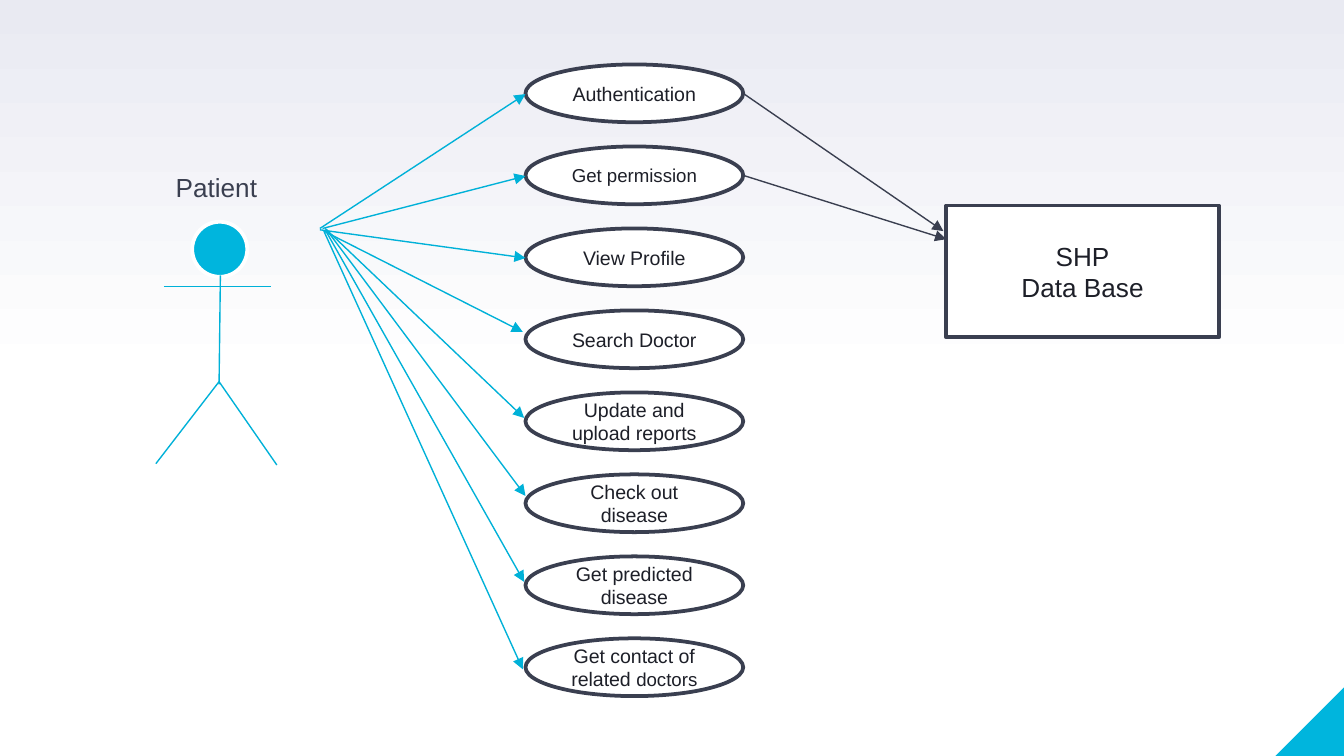
from lxml import etree
from pptx import Presentation
from pptx.dml.color import RGBColor
from pptx.enum.shapes import MSO_CONNECTOR, MSO_SHAPE
from pptx.enum.text import MSO_ANCHOR, PP_ALIGN
from pptx.oxml.ns import qn
from pptx.util import Inches, Pt

STRAIGHT = MSO_CONNECTOR.STRAIGHT
OVAL, RECT, CORNER = MSO_SHAPE.OVAL, MSO_SHAPE.RECTANGLE, MSO_SHAPE.RIGHT_TRIANGLE
MIDDLE, CENTER = MSO_ANCHOR.MIDDLE, PP_ALIGN.CENTER

COLORS = {"cyan": "00B5DD", "stroke": "00B1D8", "slate": "3A3F50",
          "ink": "1D1F28", "white": "FFFFFF", "haze": "E9EAF2"}
WIDTH = 10
HEIGHT = WIDTH * 9 / 16

# Content: each use case holds its runs (text, size), then its arrow's start and tip
USE_CASES = [
    ([("Authentication", 10.5)], (2.38, 1.70), (3.91, 0.70)),
    ([("Get permission", 10)], (2.40, 1.70), (3.91, 1.31)),
    ([("View Profile", 10.5)], (2.38, 1.71), (3.91, 1.92)),
    ([("Search Doctor", 10.5)], (2.41, 1.72), (3.89, 2.47)),
    ([("Update and upload reports", 10.5)], (2.42, 1.70), (3.90, 3.11)),
    ([("Check out disease", 10.5)], (2.43, 1.71), (3.91, 3.69)),
    ([("Get predicted disease", 10.5)], (2.42, 1.71), (3.90, 4.33)),
    ([("Get contact of related ", 10.5), ("doctors", 10)], (2.41, 1.72), (3.89, 4.98)),
]
ACTOR = [("Patient", 14)]
DATABASE = [[("SHP", 14)], [("Data Base", 14)]]
DATABASE_TIPS = [(7.02, 1.72), (7.04, 1.78)]  # from the first use cases

# Layout: one column of use cases at an equal pitch
CASE_LEFT, CASE_TOP, CASE_W, CASE_H, CASE_PITCH = 3.91, 0.48, 1.62, 0.43, 0.61
HEAD_LEFT, HEAD_TOP, HEAD_SIZE = 1.43, 1.65, 0.41
NECK, HIP = (1.64, 2.05), (1.63, 2.84)
LIMBS = [(NECK, (1.63, 2.86)), ((1.22, 2.13), (2.02, 2.13)),
         (HIP, (1.16, 3.45)), (HIP, (2.06, 3.46))]
CORNER_SIZE = 0.51


def rgb(name):
    return RGBColor.from_string(COLORS[name])


def write(shape, paragraphs, color="ink", inset=0.1):
    frame = shape.text_frame
    frame.word_wrap = True
    frame.vertical_anchor = MIDDLE
    frame.margin_left = frame.margin_right = Inches(inset)
    for i, runs in enumerate(paragraphs):
        paragraph = frame.add_paragraph() if i else frame.paragraphs[0]
        paragraph.alignment = CENTER
        for text, size in runs:
            run = paragraph.add_run()
            run.text = text
            run.font.name = "Arial"
            run.font.size = Pt(size)
            run.font.color.rgb = rgb(color)


def add_block(slide, kind, box, fill="white", line="slate"):
    block = slide.shapes.add_shape(kind, *map(Inches, box))
    block.shadow.inherit = False
    block.fill.solid()
    block.fill.fore_color.rgb = rgb(fill)
    if line:
        block.line.color.rgb = rgb(line)
        block.line.width = Pt(2)
    else:
        block.line.fill.background()
    return block


def add_line(slide, start, end, color="stroke", arrow=False):
    link = slide.shapes.add_connector(STRAIGHT, *map(Inches, (*start, *end)))
    link.line.color.rgb = rgb(color)
    link.line.width = Pt(0.75)
    properties = link._element.spPr
    if arrow:
        etree.SubElement(properties.find(qn("a:ln")), qn("a:tailEnd"), type="triangle")
    etree.SubElement(properties, qn("a:effectLst"))


def main():
    deck = Presentation()
    deck.slide_width, deck.slide_height = Inches(WIDTH), Inches(HEIGHT)
    slide = deck.slides.add_slide(deck.slide_layouts[6])

    # Background: haze at the top fading to white halfway down
    backdrop = slide.background.fill
    backdrop.gradient()
    backdrop.gradient_angle = 90
    for stop, position, color in zip(backdrop.gradient_stops, (0.5, 1), ("white", "haze")):
        stop.position = position
        stop.color.rgb = rgb(color)

    # Corner accent
    corner = add_block(slide, CORNER, (WIDTH - CORNER_SIZE, HEIGHT - CORNER_SIZE,
                                       CORNER_SIZE, CORNER_SIZE), fill="cyan", line=None)
    corner._element.spPr.xfrm.set("flipH", "1")

    # Use cases
    for row, (runs, _, _) in enumerate(USE_CASES):
        case = add_block(slide, OVAL, (CASE_LEFT, CASE_TOP + row * CASE_PITCH, CASE_W, CASE_H))
        write(case, [runs], inset=0.05)

    # Patient figure
    add_block(slide, OVAL, (HEAD_LEFT, HEAD_TOP, HEAD_SIZE, HEAD_SIZE),
              fill="cyan", line="white")
    for start, end in LIMBS:
        add_line(slide, start, end)

    # Arrows from the patient to each use case
    for _, start, tip in USE_CASES:
        add_line(slide, start, tip, arrow=True)

    # Database and the arrows into it
    database = add_block(slide, RECT, (7.04, 1.53, 2.03, 0.98))
    write(database, DATABASE)
    for row, tip in enumerate(DATABASE_TIPS):
        start = (CASE_LEFT + CASE_W, CASE_TOP + row * CASE_PITCH + CASE_H / 2)
        add_line(slide, start, tip, color="slate", arrow=True)

    # Patient label
    actor = slide.shapes.add_textbox(*map(Inches, (1, 1.09, 1.22, 0.61)))
    write(actor, [ACTOR], color="slate")

    deck.save("out.pptx")


if __name__ == "__main__":
    main()
